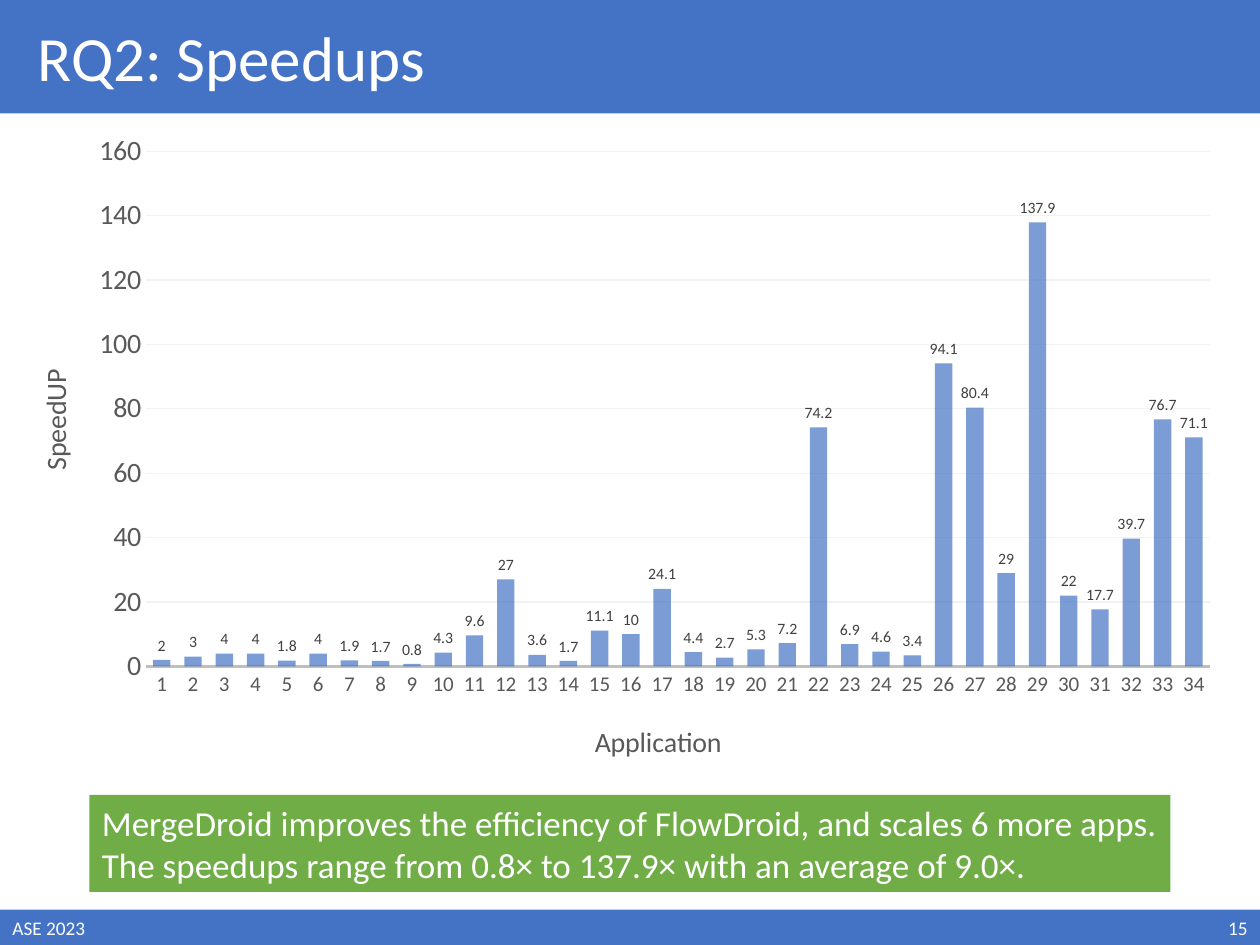
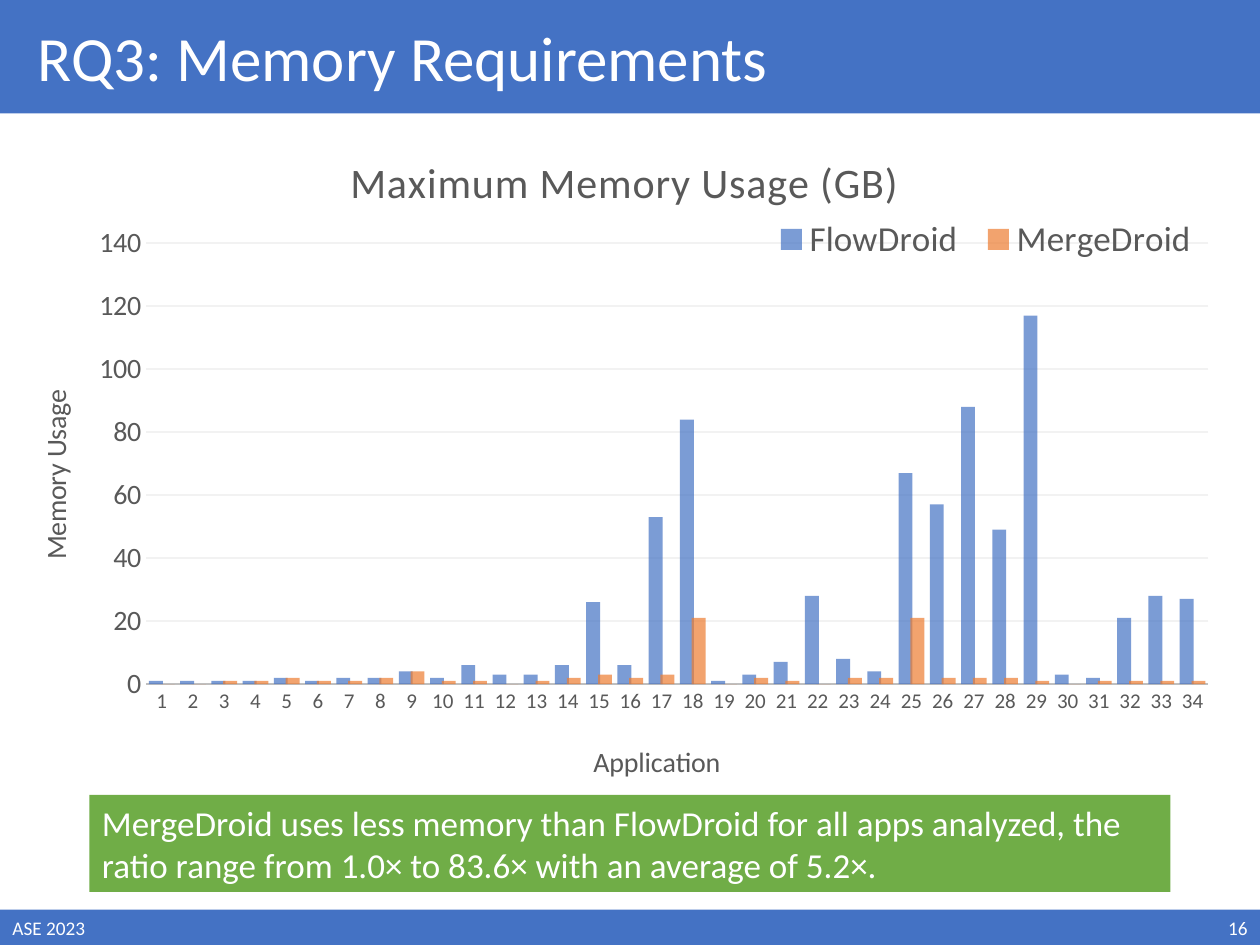
from dataclasses import dataclass
from typing import NamedTuple, Optional

from lxml.etree import SubElement
from pptx import Presentation
from pptx.chart.data import CategoryChartData
from pptx.dml.color import RGBColor
from pptx.enum.chart import XL_CHART_TYPE as ChartType, XL_LABEL_POSITION as LabelPosition
from pptx.enum.chart import XL_LEGEND_POSITION as LegendPosition, XL_TICK_MARK as TickMark
from pptx.enum.shapes import MSO_SHAPE as Preset
from pptx.enum.text import MSO_ANCHOR as Anchor, PP_ALIGN as Align
from pptx.oxml.ns import qn
from pptx.util import Inches, Pt

BLUE = RGBColor(0x44, 0x72, 0xC4)
ORANGE = RGBColor(0xED, 0x7D, 0x31)
GREEN = RGBColor(0x70, 0xAD, 0x47)
WHITE = RGBColor(0xFF, 0xFF, 0xFF)
LABEL_GRAY = RGBColor(0x40, 0x40, 0x40)
TEXT_GRAY = RGBColor(0x59, 0x59, 0x59)
AXIS_GRAY = RGBColor(0xBF, 0xBF, 0xBF)
GRID_GRAY = RGBColor(0xF2, 0xF2, 0xF2)
FONT = "Calibri"
OPACITY = 70


class Box(NamedTuple):
    """Left, top, width and height in inches on the slide."""

    left: float
    top: float
    width: float
    height: float

    def emu(self) -> list:
        """Return the four lengths for python-pptx."""
        return [Inches(length) for length in self]


class Series(NamedTuple):
    """One named column series."""

    name: str
    color: RGBColor
    values: list


@dataclass
class ColumnChart:
    """Content and placement of one column chart."""

    frame: Box
    plot: Box
    series: list
    value_title: str
    value_title_at: tuple
    category_title_at: tuple
    maximum: int
    gap: int
    overlap: int
    title: Optional[str] = None
    title_at: tuple = (2.72, 1.16)
    legend: Optional[Box] = None


@dataclass
class ResultSlide:
    """One research question with its chart and finding."""

    number: int
    title: str
    finding: str
    chart: ColumnChart


TITLE_BAND = Box(0, 0, 10, 0.9)
FOOTER_BAND = Box(0, 7.22, 10, 0.28)
EVENT_BOX = Box(0, 7.22, 2.12, 0.29)
NUMBER_BOX = Box(9.48, 7.22, 0.52, 0.29)
FINDING_BOX = Box(0.71, 6.31, 8.58, 0.77)

RESULTS = [
    ResultSlide(
        15,
        "RQ2: Speedups",
        "MergeDroid improves the efficiency of FlowDroid, and scales 6 more apps. "
        "The speedups range from 0.8× to 137.9× with an average of 9.0×.",
        ColumnChart(
            frame=Box(0, 0.96, 9.8, 5.24),
            plot=Box(1.16, 1.2, 8.44, 4.09),
            series=[
                Series("Series 1", BLUE, [
                    2, 3, 4, 4, 1.8, 4, 1.9, 1.7, 0.8, 4.3, 9.6, 27, 3.6, 1.7, 11.1, 10, 24.1,
                    4.4, 2.7, 5.3, 7.2, 74.2, 6.9, 4.6, 3.4, 94.1, 80.4, 29, 137.9, 22, 17.7,
                    39.7, 76.7, 71.1]),
            ],
            value_title="SpeedUP",
            value_title_at=(0.25, 2.89),
            category_title_at=(4.68, 5.7),
            maximum=160,
            gap=80,
            overlap=25,
        ),
    ),
    ResultSlide(
        16,
        "RQ3: Memory Requirements",
        "MergeDroid uses less memory than FlowDroid for all apps analyzed, the "
        "ratio range from 1.0× to 83.6× with an average of 5.2×.",
        ColumnChart(
            frame=Box(0, 0.9, 9.78, 5.99),
            plot=Box(1.16, 1.93, 8.43, 3.5),
            series=[
                Series("FlowDroid", BLUE, [
                    1, 1, 1, 1, 2, 1, 2, 2, 4, 2, 6, 3, 3, 6, 26, 6, 53, 84, 1, 3, 7, 28, 8, 4,
                    67, 57, 88, 49, 117, 3, 2, 21, 28, 27]),
                Series("MergeDroid", ORANGE, [
                    0, 0, 1, 1, 2, 1, 1, 2, 4, 1, 1, 0, 1, 2, 3, 2, 3, 21, 0, 2, 1, 0, 2, 2,
                    21, 2, 2, 2, 1, 0, 1, 1, 1, 1]),
            ],
            value_title="Memory Usage",
            value_title_at=(0.25, 3.05),
            category_title_at=(4.67, 5.86),
            maximum=140,
            gap=40,
            overlap=15,
            title="Maximum Memory Usage (GB)",
            legend=Box(6.05, 1.68, 3.55, 0.44),
        ),
    ),
]


def style_font(font, size: float, color: RGBColor) -> None:
    """Apply the deck font at the given size and colour."""
    font.name, font.size, font.bold = FONT, Pt(size), False
    font.color.rgb = color


def write(frame, text: str, size: float, align=Align.LEFT, anchor=Anchor.TOP) -> None:
    """Put white wrapped text into a text frame."""
    frame.text = text
    frame.word_wrap = True
    frame.vertical_anchor = anchor
    paragraph = frame.paragraphs[0]
    paragraph.alignment = align
    style_font(paragraph.runs[0].font, size, WHITE)


def add_band(slide, box: Box, color: RGBColor):
    """Draw a flat rectangle and return it."""
    band = slide.shapes.add_shape(Preset.RECTANGLE, *box.emu())
    band.shadow.inherit = False
    band.fill.solid()
    band.fill.fore_color.rgb = color
    band.line.fill.background()
    return band


def place(element, index: int, frame: Box, left: float, top: float,
          width: float = 0, height: float = 0) -> None:
    """Give a chart part a manual layout measured on the slide."""
    for previous in element.findall(qn("c:layout")):
        element.remove(previous)
    layout = SubElement(element, qn("c:layout"))
    element.insert(index, layout)
    manual = SubElement(layout, qn("c:manualLayout"))
    settings = {"xMode": "edge", "yMode": "edge",
                "x": (left - frame.left) / frame.width, "y": (top - frame.top) / frame.height}
    if width:
        settings.update(w=width / frame.width, h=height / frame.height)
    if element.tag == qn("c:plotArea"):
        settings = {"layoutTarget": "inner", **settings}
    for tag, value in settings.items():
        SubElement(manual, qn(f"c:{tag}")).set("val", str(value))


def write_title(title, text: str, size: float):
    """Write a chart or axis title and return its font."""
    title.text_frame.text = text
    font = title.text_frame.paragraphs[0].runs[0].font
    style_font(font, size, TEXT_GRAY)
    return font


def style_axes(chart, content: ColumnChart) -> None:
    """Format both axes and their titles."""
    category, value = chart.category_axis, chart.value_axis
    for axis, size, text in ((category, 12, "Application"), (value, 16, content.value_title)):
        axis.major_tick_mark = axis.minor_tick_mark = TickMark.NONE
        style_font(axis.tick_labels.font, size, TEXT_GRAY)
        write_title(axis.axis_title, text, 16)
    category.format.line.color.rgb = AXIS_GRAY
    category.format.line.width = Pt(1.25)
    value.format.line.fill.background()
    value.minimum_scale, value.maximum_scale, value.major_unit = 0, content.maximum, 20
    value.major_gridlines.format.line.color.rgb = GRID_GRAY
    value.major_gridlines.format.line.width = Pt(0.75)


def add_column_chart(slide, content: ColumnChart) -> None:
    """Draw a clustered column chart."""
    data = CategoryChartData()
    data.categories = [str(app) for app in range(1, len(content.series[0].values) + 1)]
    for entry in content.series:
        data.add_series(entry.name, entry.values)
    chart = slide.shapes.add_chart(
        ChartType.COLUMN_CLUSTERED, *content.frame.emu(), data).chart
    root = chart._chartSpace
    style_font(chart.font, 10, TEXT_GRAY)

    columns = chart.plots[0]
    columns.gap_width, columns.overlap = content.gap, content.overlap
    columns.vary_by_categories = False
    for drawn, entry in zip(columns.series, content.series):
        drawn.format.fill.solid()
        drawn.format.fill.fore_color.rgb = entry.color
    for color in root.xpath(".//c:ser/c:spPr/a:solidFill/a:srgbClr"):
        SubElement(color, qn("a:alpha")).set("val", str(OPACITY * 1000))

    style_axes(chart, content)
    value_title = root.xpath(".//c:valAx/c:title")[0]
    value_title.find(".//" + qn("a:bodyPr")).set("rot", "-5400000")
    place(value_title, 1, content.frame, *content.value_title_at)
    place(root.xpath(".//c:catAx/c:title")[0], 1, content.frame, *content.category_title_at)
    place(root.xpath(".//c:plotArea")[0], 0, content.frame, *content.plot)

    chart.has_title = content.title is not None
    if content.title:
        font = write_title(chart.chart_title, content.title, 24)
        font._element.set("spc", "50")
        place(root.xpath("c:chart/c:title")[0], 1, content.frame, *content.title_at)

    chart.has_legend = content.legend is not None
    if content.legend:
        chart.legend.position = LegendPosition.BOTTOM
        chart.legend.include_in_layout = False
        style_font(chart.legend.font, 20, TEXT_GRAY)
        place(root.xpath(".//c:legend")[0], 1, content.frame, *content.legend)
    else:
        columns.has_data_labels = True
        labels = columns.data_labels
        labels.show_value = True
        labels.position = LabelPosition.OUTSIDE_END
        style_font(labels.font, 9, LABEL_GRAY)


def add_result_slide(deck, result: ResultSlide) -> None:
    """Build one slide with bands, chart and finding."""
    slide = deck.slides.add_slide(deck.slide_layouts[6])
    add_band(slide, FOOTER_BAND, BLUE)
    for box, text, align in ((EVENT_BOX, "ASE 2023", Align.LEFT),
                             (NUMBER_BOX, str(result.number), Align.RIGHT)):
        write(slide.shapes.add_textbox(*box.emu()).text_frame, text, 11, align)
    header = add_band(slide, TITLE_BAND, BLUE).text_frame
    header.margin_left = Inches(0.3)
    write(header, result.title, 36, anchor=Anchor.MIDDLE)
    add_column_chart(slide, result.chart)
    write(add_band(slide, FINDING_BOX, GREEN).text_frame, result.finding, 20)


def main() -> None:
    """Build and save the deck."""
    deck = Presentation()
    deck.slide_width, deck.slide_height = Inches(10), Inches(7.5)
    for result in RESULTS:
        add_result_slide(deck, result)
    deck.save("out.pptx")


if __name__ == "__main__":
    main()
